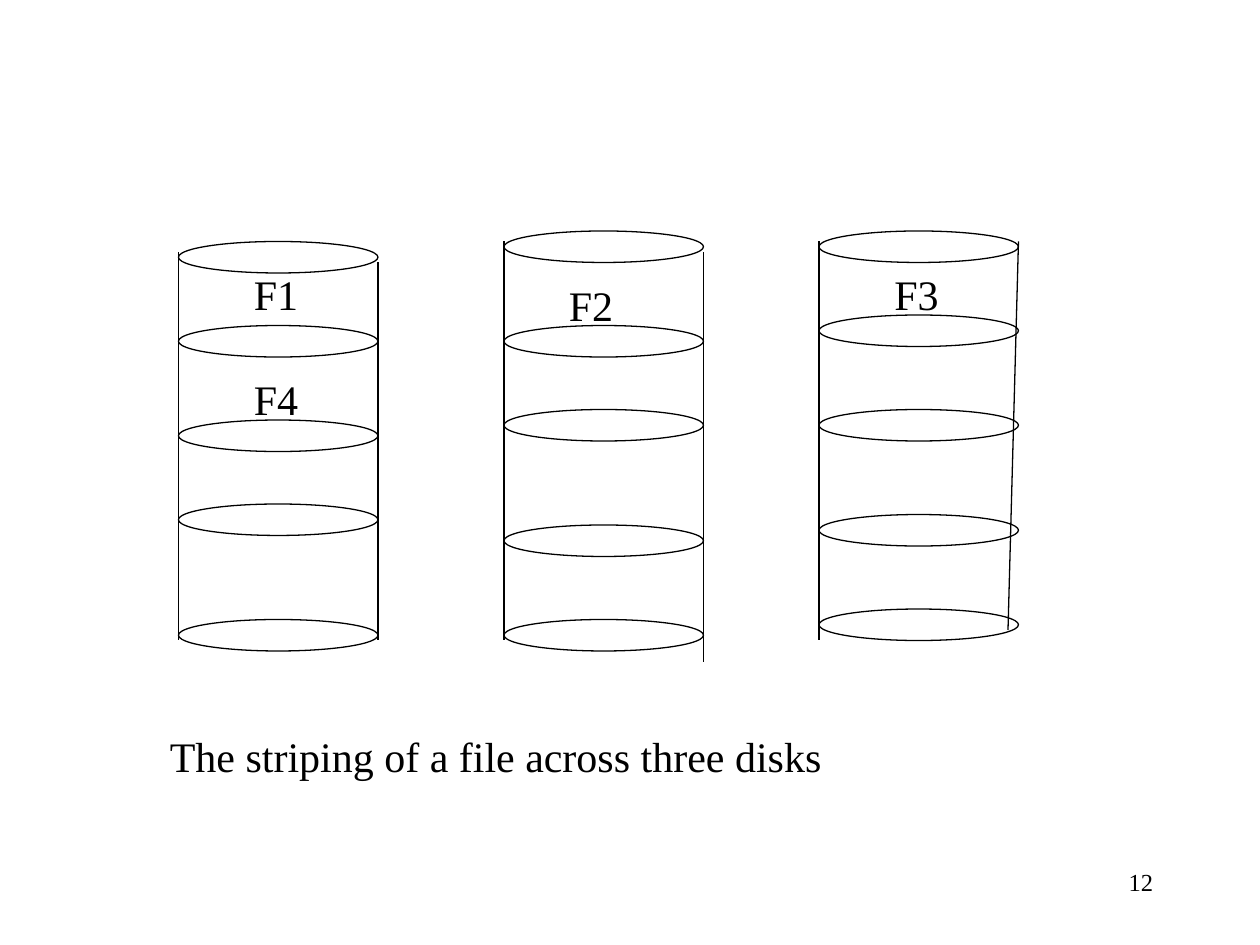
import pptx
import pptx.util
from pptx.dml.color import RGBColor
from pptx.enum.shapes import MSO_CONNECTOR, MSO_SHAPE
from pptx.enum.text import MSO_AUTO_SIZE, PP_ALIGN
from pptx.oxml.ns import qn
from lxml import etree

COLORS = {"ink": "000000", "paper": "FFFFFF"}
FONT = "Times New Roman"

# All positions are columns and rows of a grid with 12 cells to the inch.
CELL = pptx.util.Inches(1) / 12
SLIDE_COLS, SLIDE_ROWS = 120, 90
DISK_COLS, RING_ROWS = 19, 3

# Sides are (top row, bottom row); lean is the shift of the right side's foot.
DISKS = [
    {"col": 17, "rings": [23, 31, 40, 48, 59],
     "left": (24, 61), "right": (25, 61), "lean": 0},
    {"col": 48, "rings": [22, 31, 39, 50, 59],
     "left": (23, 61), "right": (24, 63), "lean": 0},
    {"col": 78, "rings": [22, 30, 39, 49, 58],
     "left": (23, 61), "right": (23, 60), "lean": -1},
]
# Text, column, row, width in columns
STRIPES = [("F1", 23, 25, 7), ("F2", 53, 26, 10), ("F3", 84, 25, 8), ("F4", 23, 35, 7)]
CAPTION = ("The striping of a file across three disks", 15, 69, 90)
PAGE_NUMBER = ("12", 86, 82, 25)
TEXT_ROWS = 6


def cells(*counts):
    return [round(count * CELL) for count in counts]


def color(name):
    return RGBColor.from_string(COLORS[name])


def outline(part):
    part.line.color.rgb = color("ink")
    part.line.width = pptx.util.Pt(0.75)


def add_ring(slide, col, row):
    ring = slide.shapes.add_shape(MSO_SHAPE.OVAL, *cells(col, row, DISK_COLS, RING_ROWS))
    ring.shadow.inherit = False
    ring.fill.solid()
    ring.fill.fore_color.rgb = color("paper")
    outline(ring)


def add_side(slide, col, rows, lean=0):
    top, bottom = rows
    side = slide.shapes.add_connector(
        MSO_CONNECTOR.STRAIGHT, *cells(col, top, col + lean, bottom))
    outline(side)
    etree.SubElement(side._element.spPr, qn("a:effectLst"))


def add_text(slide, words, col, row, cols, size=24, space_before=15,
             align=PP_ALIGN.LEFT, grow=True):
    frame = slide.shapes.add_textbox(*cells(col, row, cols, TEXT_ROWS)).text_frame
    frame.word_wrap = True
    if grow:
        frame.auto_size = MSO_AUTO_SIZE.SHAPE_TO_FIT_TEXT
    paragraph = frame.paragraphs[0]
    paragraph.text = words
    paragraph.alignment = align
    paragraph.space_before = pptx.util.Pt(space_before)
    paragraph.font.name = FONT
    paragraph.font.size = pptx.util.Pt(size)
    paragraph.font.color.rgb = color("ink")


def main():
    deck = pptx.Presentation()
    deck.slide_width, deck.slide_height = cells(SLIDE_COLS, SLIDE_ROWS)
    slide = deck.slides.add_slide(deck.slide_layouts[6])

    add_text(slide, *PAGE_NUMBER, size=14, space_before=0,
             align=PP_ALIGN.RIGHT, grow=False)
    for disk in DISKS:
        for row in disk["rings"]:
            add_ring(slide, disk["col"], row)
    for disk in DISKS:
        add_side(slide, disk["col"], disk["left"])
        add_side(slide, disk["col"] + DISK_COLS, disk["right"], disk["lean"])
    for label in STRIPES + [CAPTION]:
        add_text(slide, *label)

    deck.save("out.pptx")


if __name__ == "__main__":
    main()
